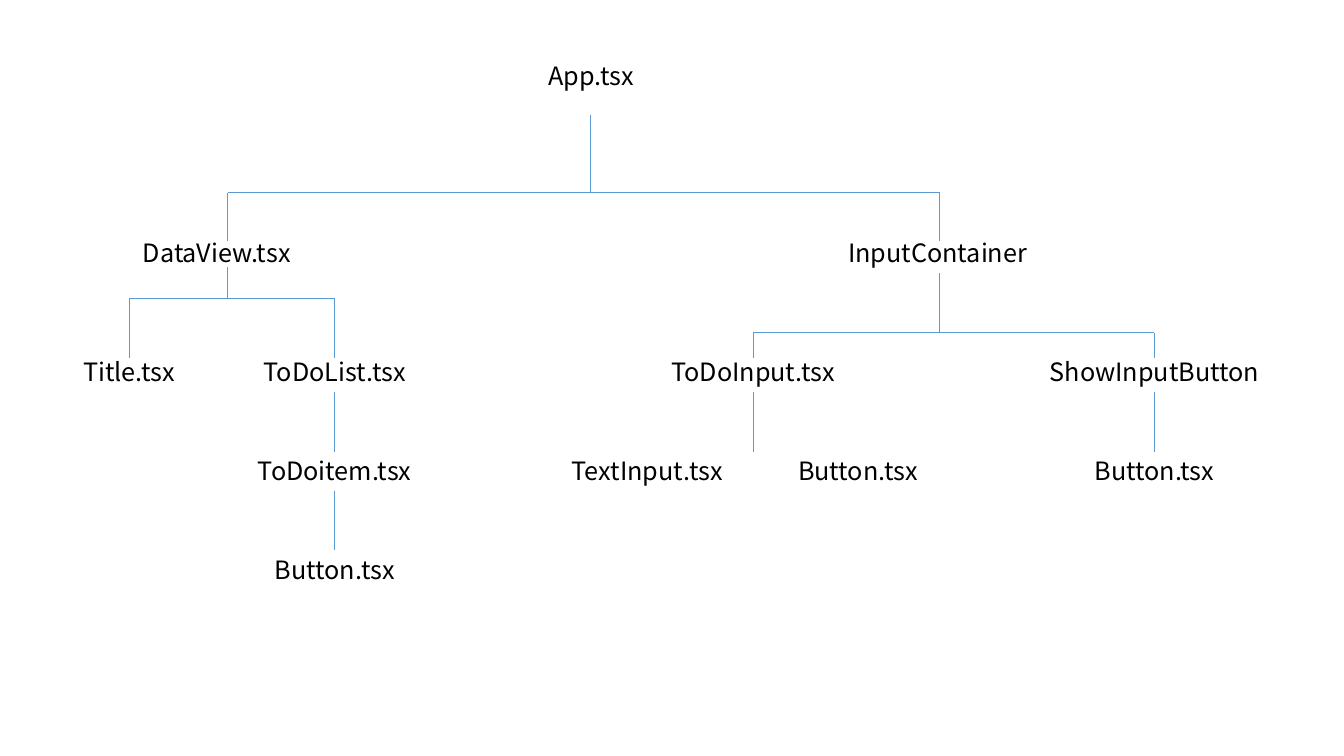
from dataclasses import dataclass

from lxml import etree
from pptx import Presentation
from pptx.dml.color import RGBColor as Color
from pptx.enum.shapes import MSO_CONNECTOR as Link
from pptx.enum.text import MSO_AUTO_SIZE as Fit, PP_ALIGN as Align
from pptx.oxml.ns import qn
from pptx.util import Inches, Pt


@dataclass(frozen=True)
class Theme:
    font: str = "Noto Sans CJK KR"
    size: Pt = Pt(18)
    ink: Color = Color(0, 0, 0)
    line: Color = Color(0x5B, 0x9B, 0xD5)
    width: Pt = Pt(0.5)


@dataclass(frozen=True)
class Node:
    text: str
    mid: float
    top: float
    width: float


@dataclass(frozen=True)
class Fork:
    mid: float
    top: float
    bar: float
    foot: float
    ends: tuple[float, float]


theme = Theme()
deck = Presentation()
deck.slide_width, deck.slide_height = Inches(13.33), Inches(7.5)
slide = deck.slides.add_slide(deck.slide_layouts[6])

# Tree levels and the columns the branches run down
ROOT, VIEW, PART, ITEM, LEAF = 0.55, 2.31, 3.49, 4.47, 5.45
TITLE, DATA, LIST, APP, ENTRY, INPUT, SHOW = 1.28, 2.26, 3.32, 5.86, 7.47, 9.32, 11.45
HIGH, DROP = 0.4, 0.59

# Label widths
SMALL, MID, WIDE = 1.56, 1.84, 2.45

NODES = [
    Node("App.tsx", APP, ROOT, WIDE),
    Node("DataView.tsx", 2.15, VIEW, MID),
    Node("InputContainer", 9.3, VIEW, WIDE),
    Node("Title.tsx", TITLE, PART, 1.26),
    Node("ToDoList.tsx", LIST, PART, MID),
    Node("ToDoInput.tsx", ENTRY, PART, MID),
    Node("ShowInputButton", SHOW, PART, WIDE),
    Node("ToDoitem.tsx", LIST, ITEM, MID),
    Node("TextInput.tsx", 6.42, ITEM, MID),
    Node("Button.tsx", 8.51, ITEM, SMALL),
    Node("Button.tsx", SHOW, ITEM, SMALL),
    Node("Button.tsx", LIST, LEAF, SMALL),
]
FORKS = [
    Fork(APP, 1.14, 1.91, 2.39, (DATA, INPUT)),
    Fork(DATA, 2.65, 2.96, 3.55, (TITLE, LIST)),
    Fork(INPUT, 2.71, 3.3, 3.55, (ENTRY, SHOW)),
]
STEMS = [(LIST, PART), (ENTRY, PART), (SHOW, PART), (LIST, ITEM)]


def label(node: Node) -> None:
    left = node.mid - node.width / 2
    box = slide.shapes.add_textbox(
        Inches(left), Inches(node.top), Inches(node.width), Inches(HIGH))
    frame = box.text_frame
    frame.word_wrap, frame.auto_size = True, Fit.SHAPE_TO_FIT_TEXT
    para = frame.paragraphs[0]
    para.alignment = Align.CENTER
    run = para.add_run()
    run.text = node.text
    for key, value in {"name": theme.font, "size": theme.size}.items():
        setattr(run.font, key, value)
    run.font.color.rgb = theme.ink


def rule(x1: float, y1: float, x2: float, y2: float) -> None:
    ends = (Inches(v) for v in (x1, y1, x2, y2))
    line = slide.shapes.add_connector(Link.STRAIGHT, *ends)
    line.line.color.rgb = theme.line
    line.line.width = theme.width
    etree.SubElement(line._element.spPr, qn("a:effectLst"))


def branch(fork: Fork) -> None:
    first, last = fork.ends
    rule(fork.mid, fork.top, fork.mid, fork.bar)
    rule(first, fork.bar, last, fork.bar)
    for end in fork.ends:
        rule(end, fork.bar, end, fork.foot)


# File names
for node in NODES:
    label(node)

# Branches that split in two
for fork in FORKS:
    branch(fork)

# Single stems below a node
for mid, top in STEMS:
    start = top + HIGH
    rule(mid, start, mid, start + DROP)

deck.save("out.pptx")
